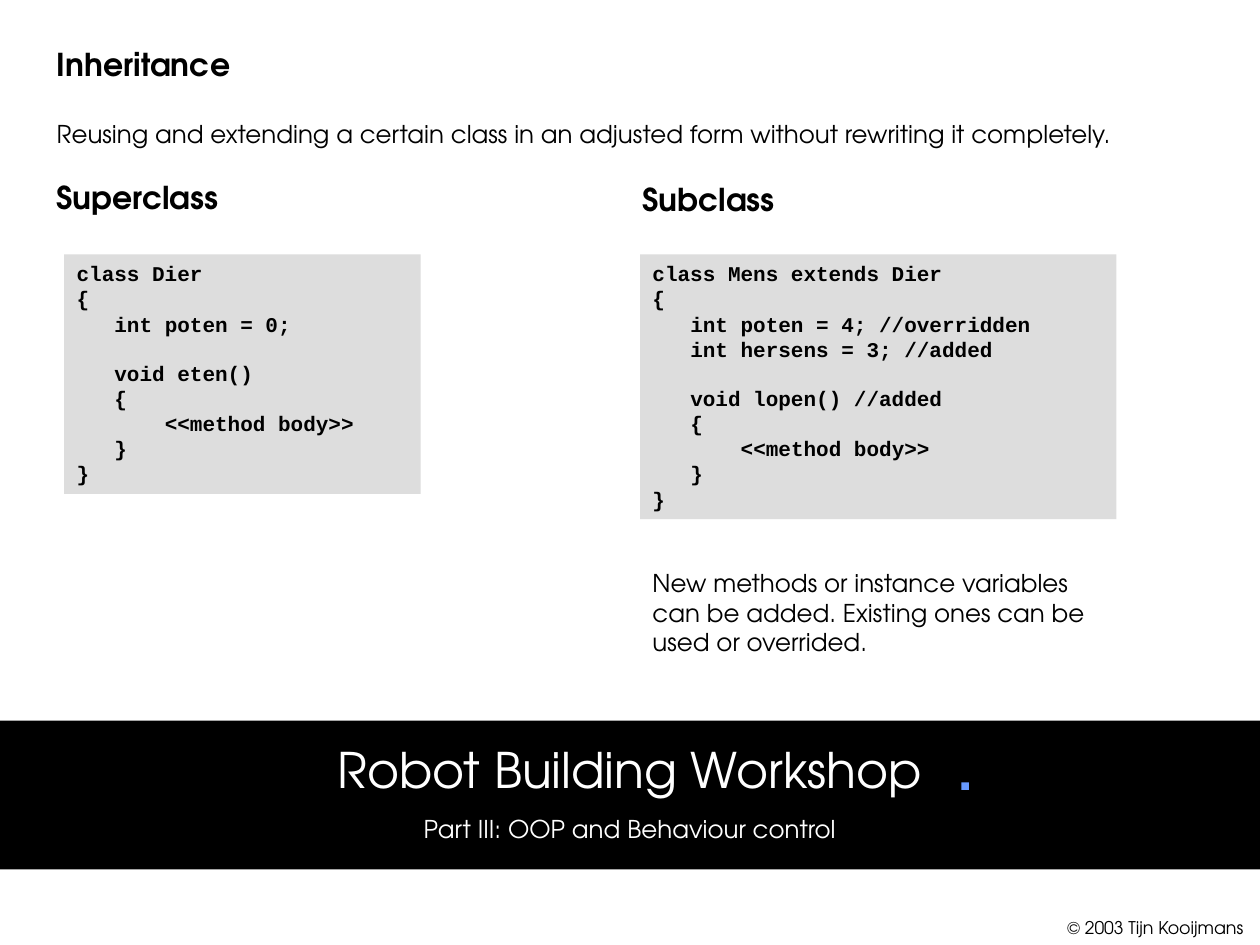
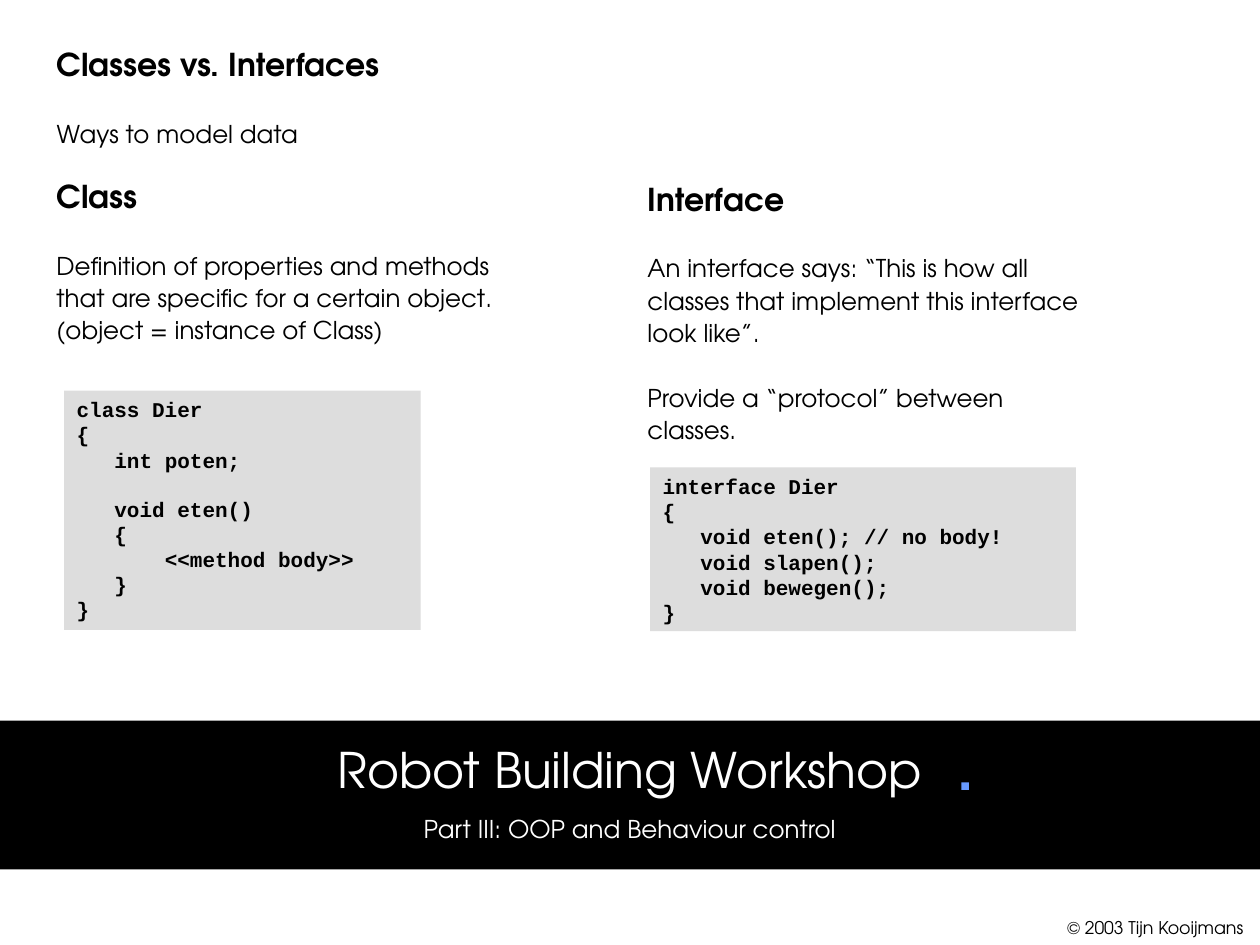
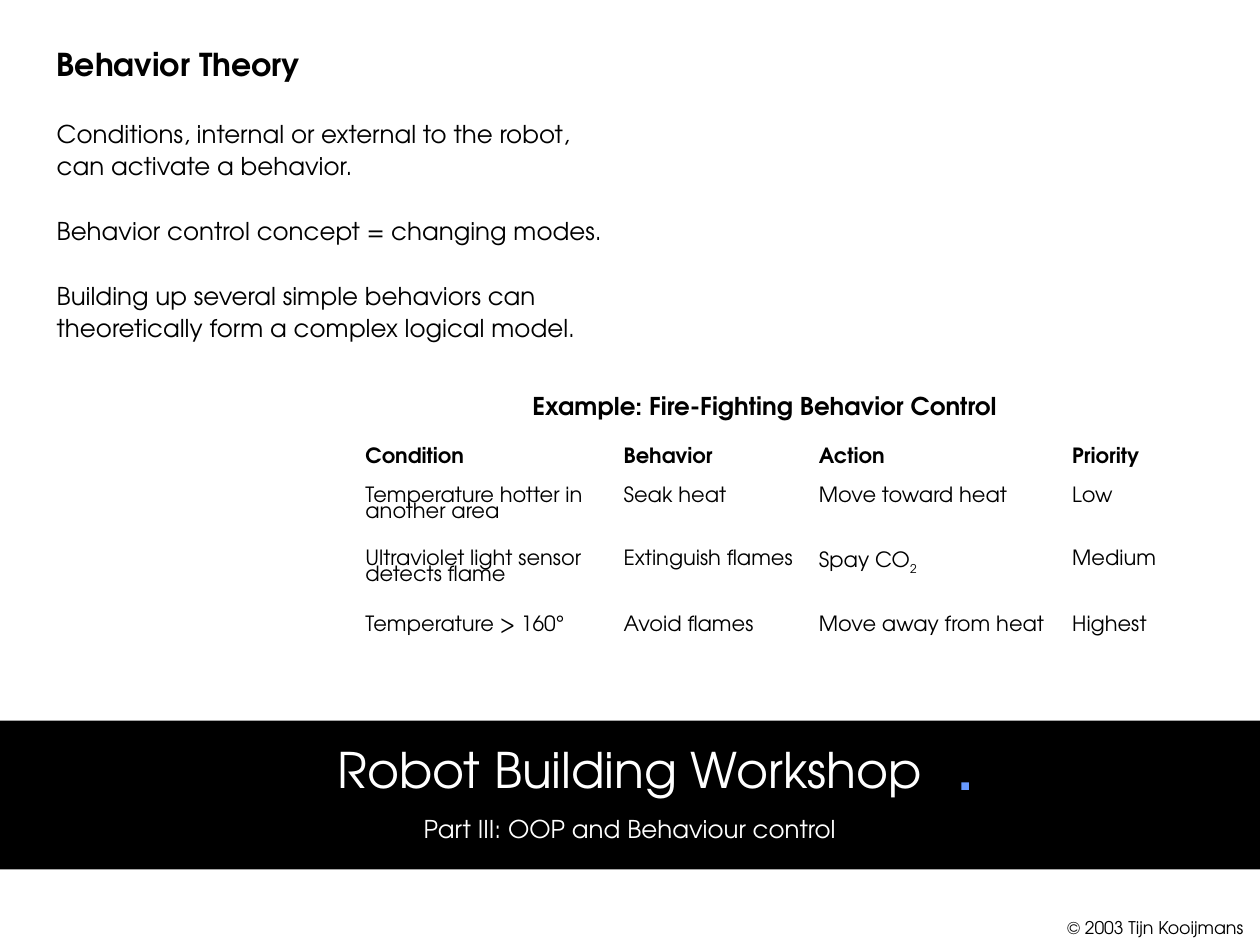
"""Build three workshop slides on classes, interfaces and robot behavior."""
import pptx
import pptx.dml.color
import pptx.enum.shapes
import pptx.enum.text
import pptx.util

Inches = pptx.util.Inches
Pt = pptx.util.Pt
ALIGN = pptx.enum.text.PP_ALIGN

SANS, MONO = "TeX Gyre Adventor", "Courier New"
BLACK, WHITE, GREY, BLUE = "000000", "FFFFFF", "DDDDDD", "6699FF"
HEAD = {"name": SANS, "size": Pt(18), "bold": True}
BODY = {"name": SANS, "size": Pt(14), "bold": False}
NAME = {"name": SANS, "size": Pt(28), "bold": False}
NOTE = {"name": SANS, "size": Pt(10), "bold": False}
CODE = {"name": MONO, "size": Pt(12), "bold": True}
CELL = {"name": SANS, "size": Pt(12), "bold": False}
LEFT = {"alignment": ALIGN.LEFT, "space_before": Pt(0)}
LOOSE = {**LEFT, "line_spacing": 1.1}
TIGHT = {**LEFT, "line_spacing": 0.8}
MID = {**LEFT, "alignment": ALIGN.CENTER}
FRAME = {
    "word_wrap": True,
    "auto_size": pptx.enum.text.MSO_AUTO_SIZE.NONE,
    "vertical_anchor": pptx.enum.text.MSO_ANCHOR.TOP,
    "margin_left": Inches(0.1), "margin_right": Inches(0.1),
    "margin_top": Inches(0.05), "margin_bottom": Inches(0.05),
}
GAP = 18.5
CODE_GAP = 13.6
CHAR = 0.1
SIDE = 0.35
TOP = 0.28
LEAD = 0.59

EAT = ["   void eten()", "   {", "       <<method body>>", "   }", "}"]
ROWS = [
    ["Condition", "Behavior", "Action", "Priority"],
    ["Temperature hotter in another area", "Seak heat",
     "Move toward heat", "Low"],
    ["Ultraviolet light sensor detects flame", "Extinguish flames",
     "Spay CO", "Medium"],
    ["Temperature > 160°", "Avoid flames", "Move away from heat", "Highest"],
]


def tint(code):
    """Turn a hex string into a colour."""
    return pptx.dml.color.RGBColor.from_string(code)


def put(item, vals):
    """Set each value of a dict on an object."""
    for key, val in vals.items():
        setattr(item, key, val)


def place(item, box):
    """Move an object to left, top, width, height in inches."""
    put(item, dict(zip(("left", "top", "width", "height"),
                       map(Inches, box))))


def write(para, text, look, form, gap=0, dent=0, ink=BLACK):
    """Fill a paragraph with one formatted run and return the run."""
    put(para, form)
    para.space_before = Pt(gap)
    props = para._p.get_or_add_pPr()
    props.set("marL", str(Inches(dent)))
    props.set("indent", "0")
    run = para.add_run()
    run.text = text
    put(run.font, look)
    run.font.color.rgb = tint(ink)
    return run


def fill(frame, lines, form, ink=BLACK):
    """Write (text, look, gap, dent) lines into a text frame."""
    put(frame, FRAME)
    for num, (text, look, *more) in enumerate(lines):
        para = frame.add_paragraph() if num else frame.paragraphs[0]
        write(para, text, look, form, *more, ink=ink)


def label(slide, box, lines, form=LOOSE, ink=BLACK):
    """Add a text box."""
    item = slide.shapes.add_textbox(*map(Inches, box))
    fill(item.text_frame, lines, form, ink)
    return item


def block(slide, box, hue):
    """Add a plain filled rectangle."""
    kind = pptx.enum.shapes.MSO_SHAPE.RECTANGLE
    item = slide.shapes.add_shape(kind, *map(Inches, box))
    item.shadow.inherit = False
    item.fill.solid()
    item.fill.fore_color.rgb = tint(hue)
    item.line.fill.background()
    return item


def code(slide, box, text):
    """Add a grey code panel, with indents and gaps taken from the lines."""
    lines, gap = [], 0
    for line in text:
        bare = line.lstrip()
        if bare:
            lines.append((bare, CODE, gap, CHAR * (len(line) - len(bare))))
        gap = 0 if bare else CODE_GAP
    fill(block(slide, box, GREY).text_frame, lines, LEFT)


def brand(slide):
    """Put the band and the footer on the layout that all slides share."""
    parts = [
        block(slide, (0, 5.72, 10, 1.18), BLACK),
        label(slide, (0, 5.82, 10, 0.92),
              [("Robot Building Workshop", NAME),
               ("Part III: OOP and Behaviour control", BODY, 8.8)],
              MID, WHITE),
        block(slide, (7.63, 6.21, 0.06, 0.06), BLUE),
        label(slide, (8.37, 7.23, 1.65, 0.27),
              [("© 2003 Tijn Kooijmans", NOTE)], LEFT),
    ]
    parts[-1].text_frame.word_wrap = False
    for num, part in enumerate(parts, 20):
        part.element.xpath(".//p:cNvPr")[0].set("id", str(num))
        slide.slide_layout.shapes.element.append(part.element)


def start(deck, title, texts, wide, high):
    """Add a slide with its title and body text."""
    slide = deck.slides.add_slide(deck.slide_layouts[1])
    head, body = slide.placeholders
    place(head, (SIDE, TOP, wide, 0.45))
    fill(head.text_frame, [(title, HEAD)], LOOSE)
    place(body, (SIDE, TOP + LEAD, wide, high))
    fill(body.text_frame,
         [(text, BODY, GAP if num else 0) for num, text in enumerate(texts)],
         LOOSE)
    for para in body.text_frame.paragraphs:
        para._p.get_or_add_pPr().get_or_change_to_buNone() if hasattr(
            para._p.pPr, "get_or_change_to_buNone") else plain(para)
    return slide


def plain(para):
    """Take the bullet off a paragraph."""
    props = para._p.get_or_add_pPr()
    props.append(pptx.oxml.parse_xml(
        '<a:buNone xmlns:a="http://schemas.openxmlformats.org/'
        'drawingml/2006/main"/>'))


def chart(slide):
    """Add the table of fire-fighting behaviors."""
    wide, high = [2.05, 1.55, 2.01, 0.93], [0.4, 0.31, 0.5, 0.52, 0.3]
    box = (2.8, 3.13, sum(wide), sum(high))
    grid = slide.shapes.add_table(
        len(high), len(wide), *map(Inches, box)).table
    put(grid, {"first_row": False, "horz_banding": False})
    for col, size in zip(grid.columns, wide):
        col.width = Inches(size)
    for row, size in zip(grid.rows, high):
        row.height = Inches(size)
    for cell in grid.iter_cells():
        cell.fill.background()
    grid.cell(0, 0).merge(grid.cell(0, len(wide) - 1))
    write(grid.cell(0, 0).text_frame.paragraphs[0],
          "Example: Fire-Fighting Behavior Control", {**BODY, "bold": True},
          {**TIGHT, "alignment": ALIGN.CENTER}, 3.5)
    for down, row in enumerate(ROWS, 1):
        look = {**CELL, "bold": down == 1}
        for over, text in enumerate(row):
            para = grid.cell(down, over).text_frame.paragraphs[0]
            write(para, text, look, TIGHT, 3)
            if text.endswith("CO"):
                sub = write(para, "2", look, TIGHT, 3)
                sub.font._element.set("baseline", "-25000")


def inherit(deck):
    """Build the slide on inheritance."""
    slide = start(deck, "Inheritance", [
        "Reusing and extending a certain class in an adjusted form "
        "without rewriting it completely."], 9.45, 0.45)
    brand(slide)
    code(slide, (0.51, 2.02, 2.83, 1.9),
         ["class Dier", "{", "   int poten = 0;", "", *EAT])
    label(slide, (SIDE, 1.33, 4.09, 0.45), [("Superclass", HEAD)])
    label(slide, (5, 1.35, 4.09, 0.45), [("Subclass", HEAD)])
    code(slide, (5.08, 2.02, 3.78, 2.1),
         ["class Mens extends Dier", "{", "   int poten = 4; //overridden",
          "   int hersens = 3; //added", "", "   void lopen() //added",
          *EAT[1:]])
    label(slide, (5.08, 4.46, 3.78, 0.8), [
        ("New methods or instance variables can be added. "
         "Existing ones can be used or overrided.", BODY)], LEFT)


def compare(deck):
    """Build the slide on classes and interfaces."""
    slide = start(deck, "Classes vs. Interfaces",
                  ["Ways to model data"], 4.09, 0.45)
    label(slide, (SIDE, 1.33, 3.7, 1.6), [
        ("Class", HEAD),
        ("Definition of properties and methods that are specific "
         "for a certain object.", BODY, GAP),
        ("(object = instance of Class)", BODY)])
    label(slide, (5.04, 1.35, 3.66, 2.25), [
        ("Interface", HEAD),
        ("An interface says: “This is how all classes that implement "
         "this interface look like”.", BODY, GAP),
        ("Provide a “protocol” between classes.", BODY, GAP)])
    code(slide, (0.51, 3.1, 2.83, 1.9),
         ["class Dier", "{", "   int poten;", "", *EAT])
    code(slide, (5.16, 3.71, 3.38, 1.3),
         ["interface Dier", "{", "   void eten(); // no body!",
          "   void slapen();", "   void bewegen();", "}"])


def behave(deck):
    """Build the slide on behavior theory."""
    slide = start(deck, "Behavior Theory", [
        "Conditions, internal or external to the robot, "
        "can activate a behavior.",
        "Behavior control concept = changing modes.",
        "Building up several simple behaviors can theoretically "
        "form a complex logical model."], 4.57, 2)
    chart(slide)


def main():
    """Build and save the deck."""
    deck = pptx.Presentation()
    put(deck, {"slide_width": Inches(10), "slide_height": Inches(7.5)})
    inherit(deck)
    compare(deck)
    behave(deck)
    deck.save("out.pptx")


if __name__ == "__main__":
    main()
